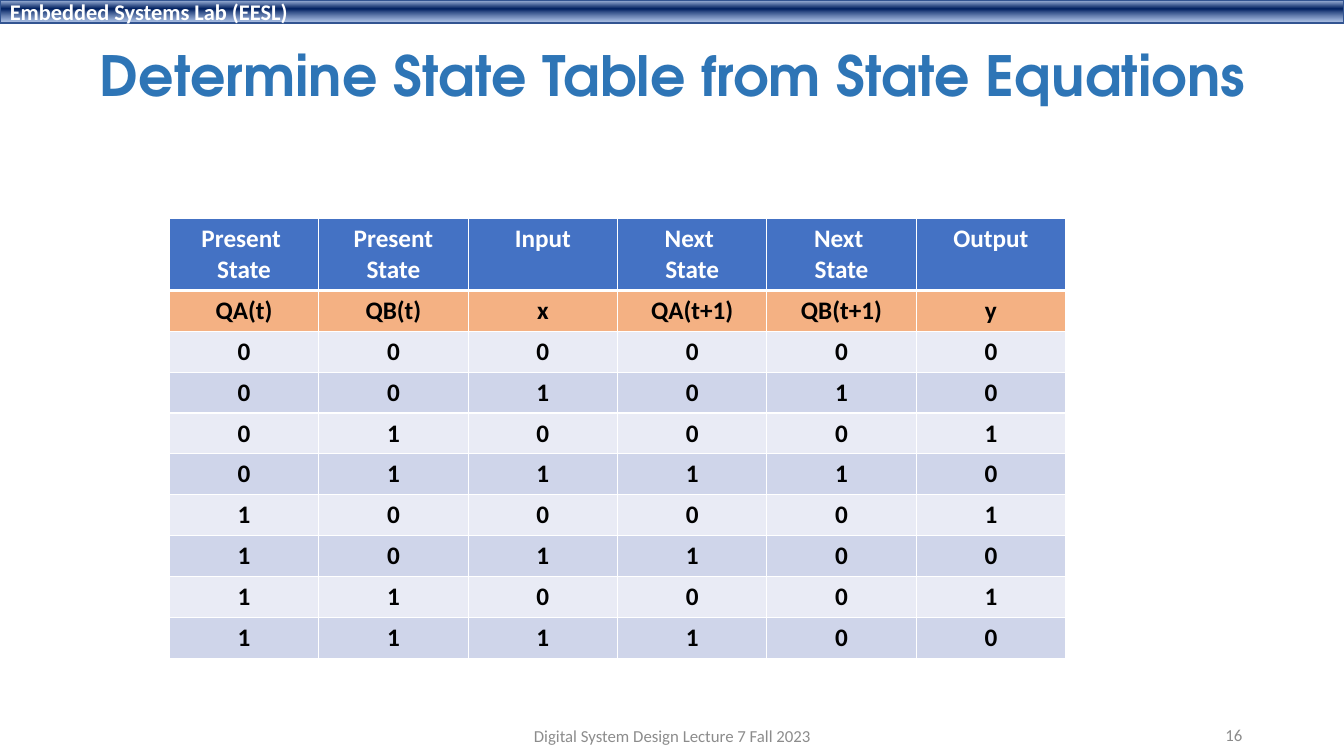
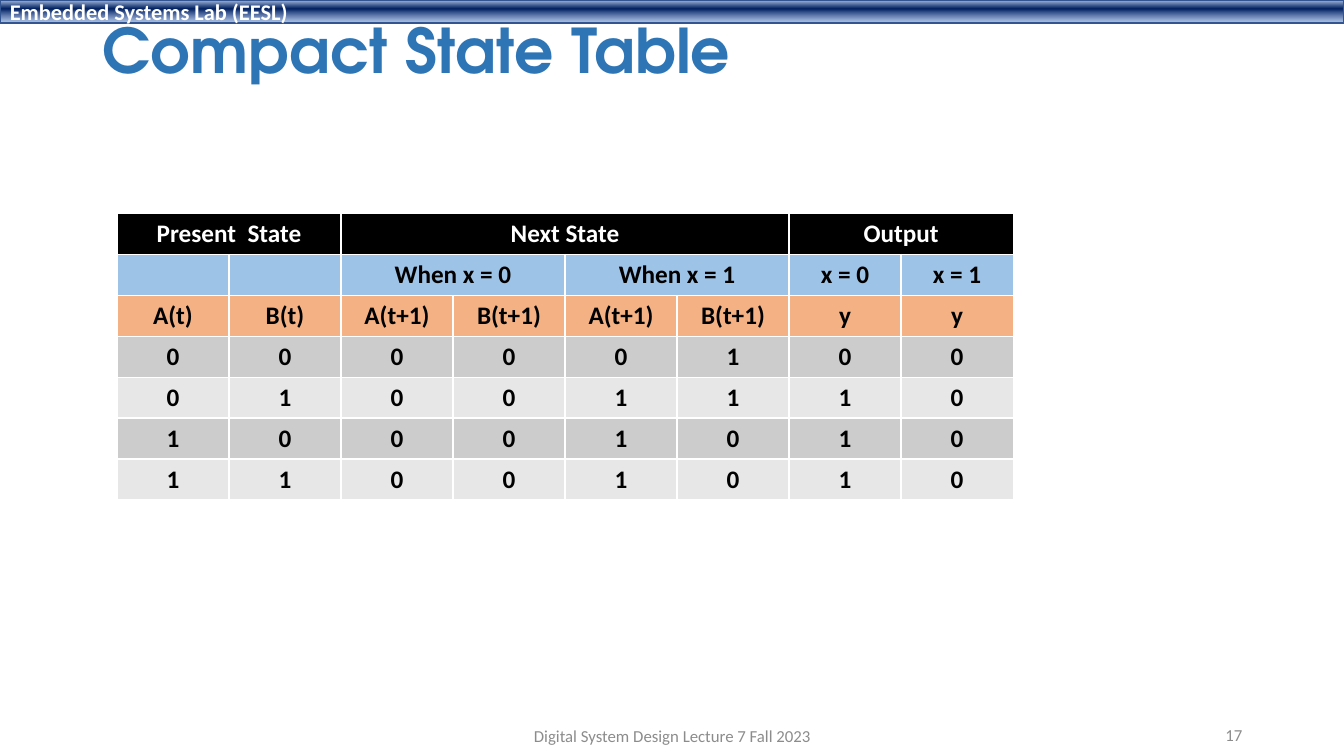
from lxml.etree import SubElement
from pptx import Presentation
from pptx.dml.color import RGBColor
from pptx.enum.shapes import MSO_SHAPE
from pptx.enum.text import MSO_ANCHOR, MSO_AUTO_SIZE, PP_ALIGN
from pptx.oxml import parse_xml
from pptx.oxml.ns import nsdecls, qn
from pptx.util import Inches, Pt

COLORS = {
    "title": "2E75B6", "footer": "8C8C8C", "white": "FFFFFF", "black": "000000",
    "band_line": "325491", "blue": "4472C4", "orange": "F4B183", "sky": "9DC3E6",
    "blue_light": "E9EBF5", "blue_mid": "CFD5EA",
    "gray_mid": "CCCCCC", "gray_light": "E7E7E7",
}
BAND_STOPS = [(2, "ABC0E4", 100), (38, "002060", 100), (93, "7E9ED6", 64)]
BODY_FONT, TITLE_FONT = "Calibri", "TeX Gyre Adventor"
BAND_TEXT = "Embedded Systems Lab (EESL)"
FOOTER_TEXT = "Digital System Design Lecture 7 Fall 2023"
SLIDE_WIDTH, SLIDE_HEIGHT = 13.33, 7.5

SLIDES = [
    {
        "number": 16,
        "title": "Determine State Table from State Equations",
        "title_at": (0.89, 0.39, 12.05, 0.77), "title_size": 39.6,
        "table_at": (1.68, 2.17, 8.89, 4.35),
        "header_height": 0.7, "header_rule": 3,
        "head_fills": ["blue", "orange"], "body_fills": ["blue_light", "blue_mid"],
        "rows": [
            ["Present \nState", "Present\nState", "Input", "Next \nState", "Next \nState", "Output"],
            ["QA(t)", "QB(t)", "x", "QA(t+1)", "QB(t+1)", "y"],
            *map(list, ["000000", "001010", "010001", "011110",
                        "100001", "101100", "110001", "111100"]),
        ],
    },
    {
        "number": 17,
        "title": "Compact State Table",
        "title_at": (0.92, 0.15, 11.5, 0.77), "title_size": 44,
        "table_at": (1.16, 2.12, 8.89, 2.83),
        "header_height": 0.4, "header_rule": 1,
        "head_fills": ["black", "sky", "orange"], "body_fills": ["gray_mid", "gray_light"],
        "rows": [
            ["Present  State", None, "Next State", None, None, None, "Output", None],
            ["", "", "When x = 0", None, "When x = 1", None, "x = 0", "x = 1"],
            ["A(t)", "B(t)", "A(t+1)", "B(t+1)", "A(t+1)", "B(t+1)", "y", "y"],
            *map(list, ["00000100", "01001110", "10001010", "11001010"]),
        ],
    },
]


def rgb(name):
    return RGBColor.from_string(COLORS[name])


def add_text(para, text, size, color, bold=False, font=BODY_FONT, align=PP_ALIGN.LEFT):
    para.alignment = align
    span = para.add_run()
    span.text = text
    span.font.size = Pt(size)
    span.font.name = font
    span.font.bold = bold
    span.font.color.rgb = rgb(color)


def add_band(page):
    band = page.shapes.add_shape(MSO_SHAPE.RECTANGLE, 0, 0, Inches(SLIDE_WIDTH), Inches(0.23))
    band.shadow.inherit = False
    band.line.color.rgb = rgb("band_line")
    band.line.width = Pt(1)
    stops = "".join(
        f'<a:gs pos="{place * 1000}"><a:srgbClr val="{color}">'
        f'<a:alpha val="{alpha * 1000}"/></a:srgbClr></a:gs>'
        for place, color, alpha in BAND_STOPS
    )
    gradient = parse_xml(
        f'<a:gradFill {nsdecls("a")} rotWithShape="1"><a:gsLst>{stops}</a:gsLst>'
        '<a:lin ang="5400000" scaled="0"/></a:gradFill>'
    )
    band.element.spPr.find(qn("a:prstGeom")).addnext(gradient)
    band.text_frame.vertical_anchor = MSO_ANCHOR.MIDDLE
    add_text(band.text_frame.paragraphs[0], BAND_TEXT, 16, "white", True)
    page.shapes.element.insert(2, band.element)


def format_title(page, text, place, size):
    title = page.shapes.title
    title.left, title.top, title.width, title.height = map(Inches, place)
    frame = title.text_frame
    frame.auto_size = MSO_AUTO_SIZE.NONE
    frame.vertical_anchor = MSO_ANCHOR.MIDDLE
    frame.paragraphs[0].line_spacing = 0.9
    add_text(frame.paragraphs[0], text, size, "title", True, TITLE_FONT)


def add_footer(page, text, place, align):
    box = page.shapes.add_textbox(*map(Inches, place))
    box.text_frame.word_wrap = True
    box.text_frame.vertical_anchor = MSO_ANCHOR.MIDDLE
    add_text(box.text_frame.paragraphs[0], text, 12, "footer", align=align)


def set_borders(cell, top, bottom):
    properties = cell._tc.get_or_add_tcPr()
    for side, width in (("lnL", 1), ("lnR", 1), ("lnT", top), ("lnB", bottom)):
        line = SubElement(properties, qn(f"a:{side}"), w=str(Pt(width)))
        fill = SubElement(line, qn("a:solidFill"))
        SubElement(fill, qn("a:srgbClr"), val=COLORS["white"])


def add_state_table(page, content):
    rows = content["rows"]
    row_count, column_count = len(rows), len(rows[0])
    left, top, width, height = content["table_at"]
    table = page.shapes.add_table(row_count, column_count, *map(Inches, content["table_at"])).table
    for column in table.columns:
        column.width = Inches(width / column_count)
    header = content["header_height"]
    for index, row in enumerate(table.rows):
        row.height = Inches((height - header) / (row_count - 1) if index else header)

    heads, bodies = content["head_fills"], content["body_fills"]
    rule = content["header_rule"]
    for y, values in enumerate(rows):
        fill = heads[y] if y < len(heads) else bodies[(y - len(heads)) % len(bodies)]
        for x, value in enumerate(values):
            cell = table.cell(y, x)
            set_borders(cell, rule if y == 1 else 1, rule if y == 0 else 1)
            cell.fill.solid()
            cell.fill.fore_color.rgb = rgb(fill)
            if value is None:
                continue
            end = x
            while end + 1 < column_count and values[end + 1] is None:
                end += 1
            if end > x:
                cell.merge(table.cell(y, end))
            if not value:
                continue
            for index, text in enumerate(value.split("\n")):
                frame = cell.text_frame
                para = frame.add_paragraph() if index else frame.paragraphs[0]
                add_text(para, text, 18, "black" if y else "white", True, align=PP_ALIGN.CENTER)


def main():
    deck = Presentation()
    deck.slide_width, deck.slide_height = Inches(SLIDE_WIDTH), Inches(SLIDE_HEIGHT)
    for content in SLIDES:
        page = deck.slides.add_slide(deck.slide_layouts[5])
        add_band(page)
        format_title(page, content["title"], content["title_at"], content["title_size"])
        add_state_table(page, content)
        add_footer(page, str(content["number"]), (9.42, 7.09, 3, 0.4), PP_ALIGN.RIGHT)
        add_footer(page, FOOTER_TEXT, (4.42, 7.1, 4.5, 0.4), PP_ALIGN.CENTER)
    deck.save("out.pptx")


if __name__ == "__main__":
    main()
